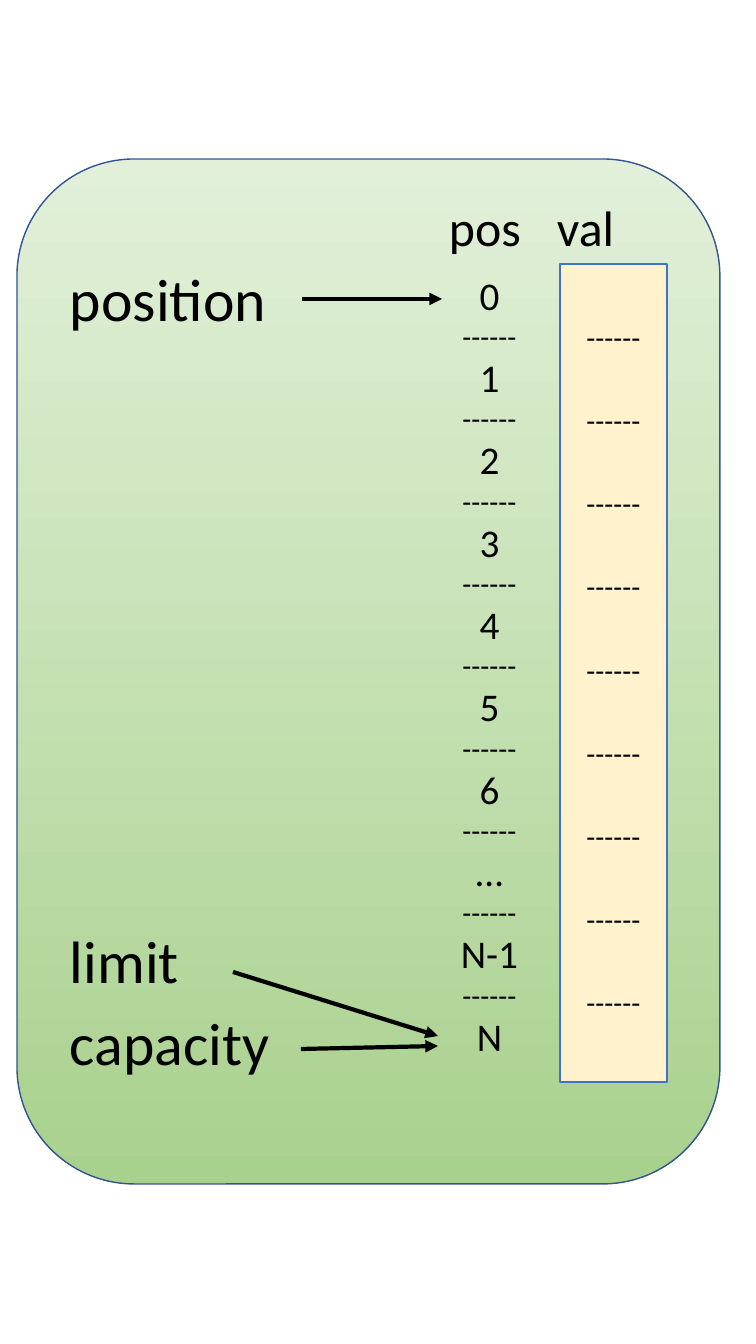
from lxml.etree import SubElement
from pptx import Presentation
from pptx.dml.color import RGBColor
from pptx.enum.shapes import MSO_CONNECTOR, MSO_SHAPE
from pptx.enum.text import MSO_ANCHOR, PP_ALIGN
from pptx.oxml.ns import qn
from pptx.util import Emu, Pt

EMU_PER_PIXEL = 914400 / 100.8
BLACK = RGBColor(0x00, 0x00, 0x00)
PALE_GREEN = RGBColor(0xE2, 0xF0, 0xD9)
GREEN = RGBColor(0xA9, 0xD1, 0x8E)
CREAM = RGBColor(0xFF, 0xF2, 0xCC)
NAVY = RGBColor(0x32, 0x54, 0x91)
BLUE = RGBColor(0x44, 0x72, 0xC4)

INSET = 7
INDEX_SIZE = 28
DASH_SIZE = 21
LINE_HEIGHT = 1.22
DASHES = "------"


def px(length):
    return Emu(round(length * EMU_PER_PIXEL))


def write_text(frame, lines, sizes, align=PP_ALIGN.LEFT, font="Calibri",
               color=BLACK, top_inset=INSET, gap=0):
    frame.word_wrap = True
    frame.vertical_anchor = MSO_ANCHOR.TOP
    frame.margin_left = frame.margin_right = frame.margin_bottom = px(INSET)
    frame.margin_top = px(top_inset)
    for number, line in enumerate(lines):
        paragraph = frame.add_paragraph() if number else frame.paragraphs[0]
        paragraph.alignment = align
        paragraph.space_after = Pt(gap)
        run = paragraph.add_run()
        run.text = line
        run.font.name = font
        run.font.size = Pt(sizes[number % len(sizes)])
        run.font.color.rgb = color


class BufferDiagram:
    def __init__(self, slide, outline=1, arrow_width=3):
        self.shapes = slide.shapes
        self.outline = outline
        self.arrow_width = arrow_width

    def block(self, kind, box, line, fill, fill_end=None):
        block = self.shapes.add_shape(kind, *map(px, box))
        block.shadow.inherit = False
        if fill_end is None:
            block.fill.solid()
            block.fill.fore_color.rgb = fill
        else:
            block.fill.gradient()
            block.fill.gradient_angle = 270
            for stop, color, position in zip(
                    block.fill.gradient_stops, (fill, fill_end), (0, 1)):
                stop.color.rgb = color
                stop.position = position
        block.line.color.rgb = line
        block.line.width = Pt(self.outline)
        return block

    def text(self, box, lines, sizes, **style):
        frame = self.shapes.add_textbox(*map(px, box)).text_frame
        write_text(frame, lines, sizes, **style)

    def arrow(self, start, end):
        arrow = self.shapes.add_connector(
            MSO_CONNECTOR.STRAIGHT, *map(px, start + end))
        arrow.line.color.rgb = BLACK
        arrow.line.width = Pt(self.arrow_width)
        SubElement(arrow.line._get_or_add_ln(), qn("a:tailEnd"), type="triangle")
        SubElement(arrow._element.spPr, qn("a:effectLst"))


presentation = Presentation()
presentation.slide_width = px(756)
presentation.slide_height = px(1344)
diagram = BufferDiagram(
    presentation.slides.add_slide(presentation.slide_layouts[6]))

diagram.block(MSO_SHAPE.ROUNDED_RECTANGLE, (17, 159, 703, 1025),
              NAVY, PALE_GREEN, GREEN)

positions = [*map(str, range(7)), "…", "N-1", "N"]
position_lines = [line for position in positions
                  for line in (position, DASHES)][:-1]
diagram.text((431, 264, 117, 818), position_lines, (INDEX_SIZE, DASH_SIZE),
             align=PP_ALIGN.CENTER)

values = diagram.block(MSO_SHAPE.RECTANGLE, (560, 264, 107, 818), BLUE, CREAM)
index_height = INDEX_SIZE * LINE_HEIGHT
write_text(values.text_frame, [DASHES] * (len(positions) - 1), (DASH_SIZE,),
           align=PP_ALIGN.CENTER, gap=round(index_height, 1),
           top_inset=INSET + round(index_height * 1.4))

for heading, left in (("pos", 442), ("val", 550)):
    diagram.text((left, 190, 108, 71), [heading], (35.6,))

for pointer, top, start, end in (
        ("position", 255, (302, 299), (442, 299)),
        ("limit", 917, (233, 972), (438, 1036)),
        ("capacity", 999, (301, 1049), (438, 1046))):
    diagram.text((63, top, 285, 86), [pointer], (42.7,))
    diagram.arrow(start, end)

presentation.save("out.pptx")
